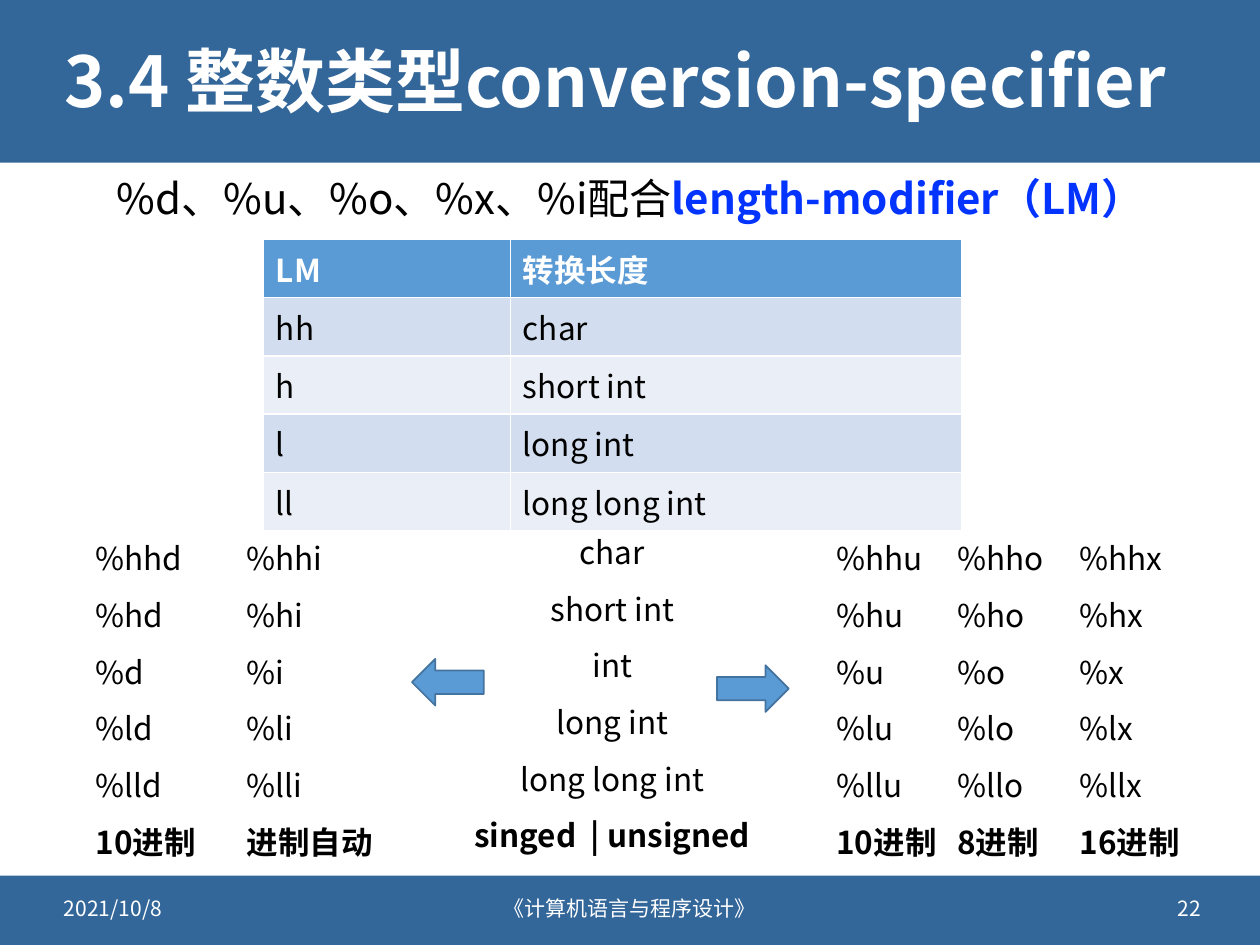
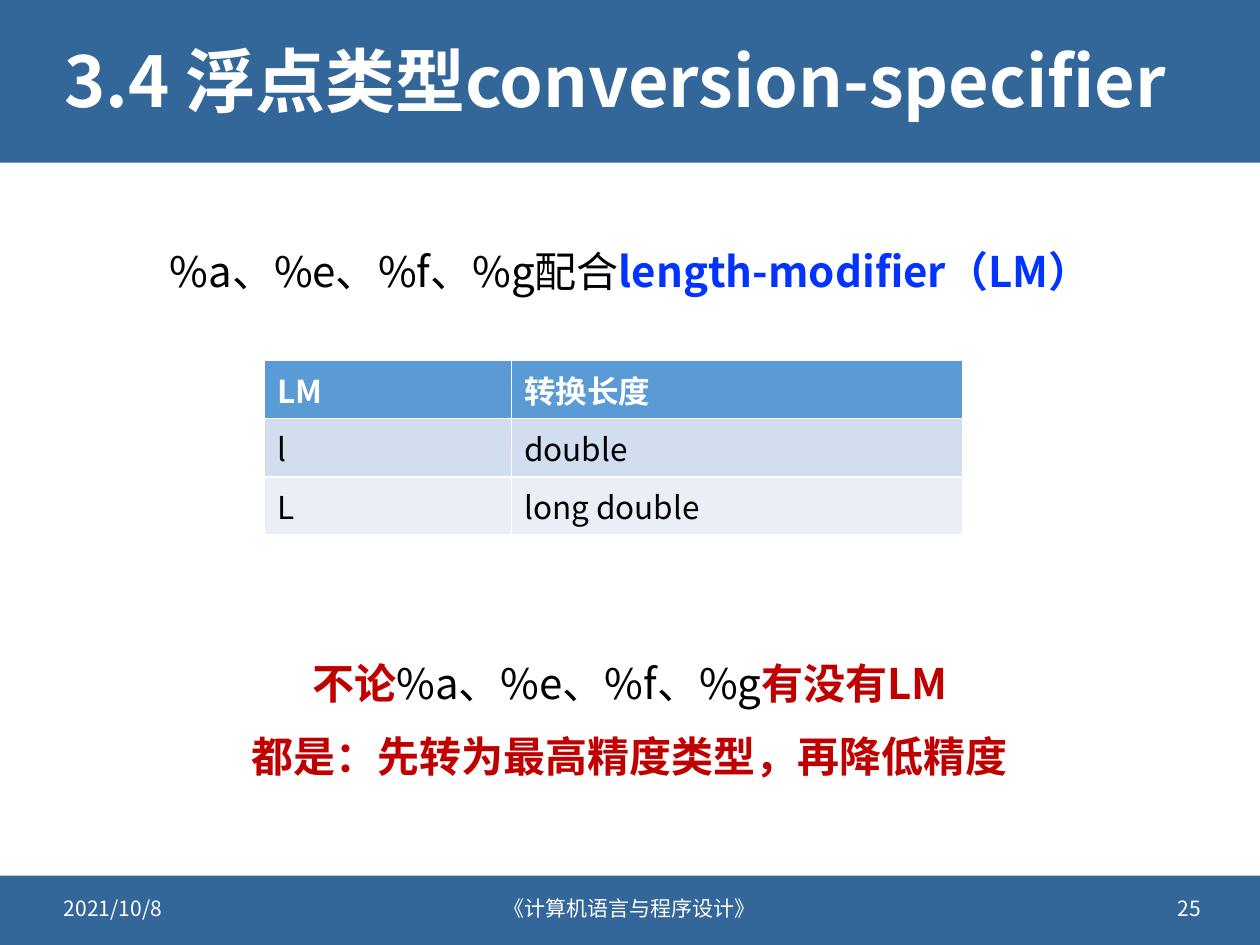
from lxml import etree
from pptx import Presentation
from pptx.dml.color import RGBColor
from pptx.enum.shapes import MSO_SHAPE as Shape
from pptx.enum.text import MSO_ANCHOR as Anchor, MSO_AUTO_SIZE as AutoSize, PP_ALIGN as Align
from pptx.oxml.ns import qn
from pptx.util import Inches, Pt

FONT = "Noto Sans CJK SC"
WHITE = RGBColor(0xFF, 0xFF, 0xFF)
BLACK = RGBColor(0x00, 0x00, 0x00)
BAND_BLUE = RGBColor(0x33, 0x66, 0x99)
ACCENT_BLUE = RGBColor(0x5B, 0x9B, 0xD5)
ARROW_EDGE = RGBColor(0x43, 0x73, 0x9E)
ROW_TINTS = (RGBColor(0xD2, 0xDE, 0xEF), RGBColor(0xEA, 0xEF, 0xF7))
KEYWORD_BLUE = RGBColor(0x02, 0x33, 0xFF)
WARNING_RED = RGBColor(0xC0, 0x00, 0x00)

BANDS = ((0, 1.29), (6.95, 0.55))
DATE = "2021/10/8"
COURSE = "《计算机语言与程序设计》"
KEYWORD = ("length-modifier（LM）", KEYWORD_BLUE, True)
LENGTHS = ("hh", "h", "", "l", "ll")


def add_text(paragraph, text, size=18, color=BLACK, bold=False):
    run = paragraph.add_run()
    run.text = text
    run.font.size = Pt(size)
    run.font.bold = bold
    run.font.color.rgb = color
    run.font.name = FONT
    east_asian = etree.SubElement(run.font._element, qn("a:ea"))
    east_asian.set("typeface", FONT)


def add_text_box(slide, box, lines, size=18, align=Align.LEFT, spacing=1.0,
                 space_before=0, anchor=Anchor.TOP, auto_size=AutoSize.SHAPE_TO_FIT_TEXT):
    """Each line is a list of (text, colour, bold) runs."""
    frame = slide.shapes.add_textbox(*map(Inches, box)).text_frame
    frame.word_wrap = True
    frame.auto_size = auto_size
    frame.vertical_anchor = anchor
    for index, runs in enumerate(lines):
        paragraph = frame.add_paragraph() if index else frame.paragraphs[0]
        paragraph.alignment = align
        paragraph.line_spacing = spacing
        paragraph.space_before = Pt(space_before)
        for text, color, bold in runs:
            add_text(paragraph, text, size=size, color=color, bold=bold)


def add_filled_shape(slide, kind, box, fill, line=None):
    shape = slide.shapes.add_shape(kind, *map(Inches, box))
    shape.shadow.inherit = False
    shape.fill.solid()
    shape.fill.fore_color.rgb = fill
    if line is None:
        shape.line.fill.background()
    else:
        shape.line.color.rgb = line
        shape.line.width = Pt(1)
    return shape


def move_bands_to_layout(slide):
    """Draw the bands once and hand them to the layout all slides share."""
    layout_tree = slide.slide_layout.shapes.element
    for top, height in BANDS:
        band = add_filled_shape(slide, Shape.RECTANGLE, (0, top, 10, height), BAND_BLUE)
        layout_tree.insert(2, band.element)


def add_title(slide, text):
    title = slide.shapes.title
    title.left, title.top, title.width, title.height = map(Inches, (0.41, 0.18, 9.19, 0.99))
    frame = title.text_frame
    frame.word_wrap = True
    frame.auto_size = AutoSize.NONE
    frame.vertical_anchor = Anchor.MIDDLE
    paragraph = frame.paragraphs[0]
    paragraph.alignment = Align.LEFT
    paragraph.line_spacing = 0.9
    add_text(paragraph, text, size=40, color=WHITE, bold=True)


def add_footer(slide, number):
    for left, width, text, align in (
        (0.41, 2.4, DATE, Align.LEFT),
        (3.2, 3.6, COURSE, Align.CENTER),
        (7.23, 2.4, str(number), Align.RIGHT),
    ):
        add_text_box(slide, (left, 7.01, width, 0.4), [[(text, WHITE, False)]], size=12,
                     align=align, anchor=Anchor.MIDDLE, auto_size=AutoSize.NONE)


def add_statement(slide, box, lines):
    add_text_box(slide, box, lines, size=24, align=Align.CENTER, spacing=1.1, space_before=10)


def add_modifier_table(slide, left, top, body):
    rows = [("LM", "转换长度"), *body]
    row_height = 0.46
    table = slide.shapes.add_table(
        len(rows), 2, Inches(left), Inches(top), Inches(5.54), Inches(row_height * len(rows))
    ).table
    for column, width in zip(table.columns, (1.96, 3.58)):
        column.width = Inches(width)
    for row_index, values in enumerate(rows):
        header = row_index == 0
        table.rows[row_index].height = Inches(row_height)
        for column_index, value in enumerate(values):
            cell = table.cell(row_index, column_index)
            cell.fill.solid()
            cell.fill.fore_color.rgb = ACCENT_BLUE if header else ROW_TINTS[(row_index - 1) % 2]
            cell.vertical_anchor = Anchor.MIDDLE if header else Anchor.TOP
            add_text(cell.text_frame.paragraphs[0], value,
                     color=WHITE if header else BLACK, bold=header)


def add_list_column(slide, box, items, caption, align=Align.LEFT):
    lines = [[(item, BLACK, False)] for item in items]
    lines.append([(caption, BLACK, True)])
    add_text_box(slide, box, lines, align=align, spacing=1.5)


def add_conversion_overview(slide, top):
    """Type names in the middle, signed specifiers left, unsigned ones right."""
    for left, letter, caption in (
        (0.66, "d", "10进制"),
        (1.86, "i", "进制自动"),
        (6.54, "u", "10进制"),
        (7.5, "o", "8进制"),
        (8.47, "x", "16进制"),
    ):
        specifiers = [f"%{length}{letter}" for length in LENGTHS]
        add_list_column(slide, (left, top + 0.05, 1.36, 2.77), specifiers, caption)
    add_list_column(slide, (3.55, top, 2.62, 2.77),
                    ("char", "short int", "int", "long int", "long long int"),
                    "singed  | unsigned", align=Align.CENTER)
    for left, offset, rotation in ((3.27, 1.2, 0), (5.69, 1.25, 180)):
        arrow = add_filled_shape(slide, Shape.LEFT_ARROW, (left, top + offset, 0.57, 0.37),
                                 ACCENT_BLUE, line=ARROW_EDGE)
        arrow.rotation = rotation


def add_base_slide(presentation, title, number):
    slide = presentation.slides.add_slide(presentation.slide_layouts[5])
    add_title(slide, title)
    add_footer(slide, number)
    return slide


def add_integer_slide(presentation):
    slide = add_base_slide(presentation, "3.4 整数类型conversion-specifier", 22)
    add_modifier_table(slide, 2.09, 1.9, [
        ("hh", "char"), ("h", "short int"), ("l", "long int"), ("ll", "long long int"),
    ])
    add_statement(slide, (0, 1.28, 10, 0.51),
                  [[("%d、%u、%o、%x、%i配合", BLACK, False), KEYWORD]])
    add_conversion_overview(slide, 4.03)
    return slide


def add_float_slide(presentation):
    slide = add_base_slide(presentation, "3.4 浮点类型conversion-specifier", 25)
    specifiers = "%a、%e、%f、%g"
    add_modifier_table(slide, 2.1, 2.86, [("l", "double"), ("L", "long double")])
    add_statement(slide, (0, 1.86, 10, 0.51),
                  [[(specifiers + "配合", BLACK, False), KEYWORD]])
    add_statement(slide, (0, 5.13, 10, 1.1), [
        [("不论", WARNING_RED, True), (specifiers, BLACK, False),
         ("有没有LM", WARNING_RED, True)],
        [("都是：先转为最高精度类型，再降低精度", WARNING_RED, True)],
    ])


def main():
    presentation = Presentation()
    presentation.slide_width = Inches(10)
    presentation.slide_height = Inches(7.5)
    move_bands_to_layout(add_integer_slide(presentation))
    add_float_slide(presentation)
    presentation.save("out.pptx")


if __name__ == "__main__":
    main()
